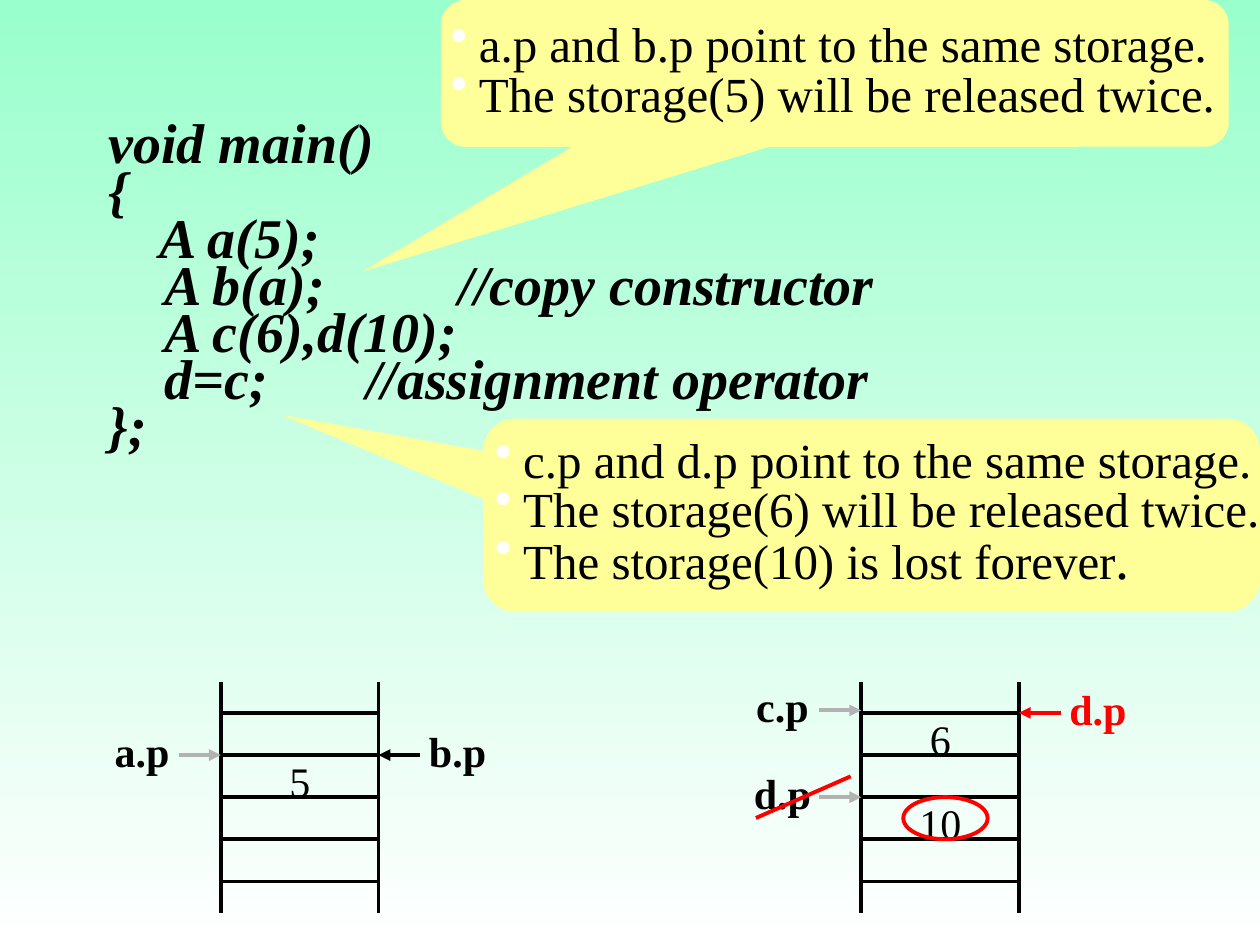
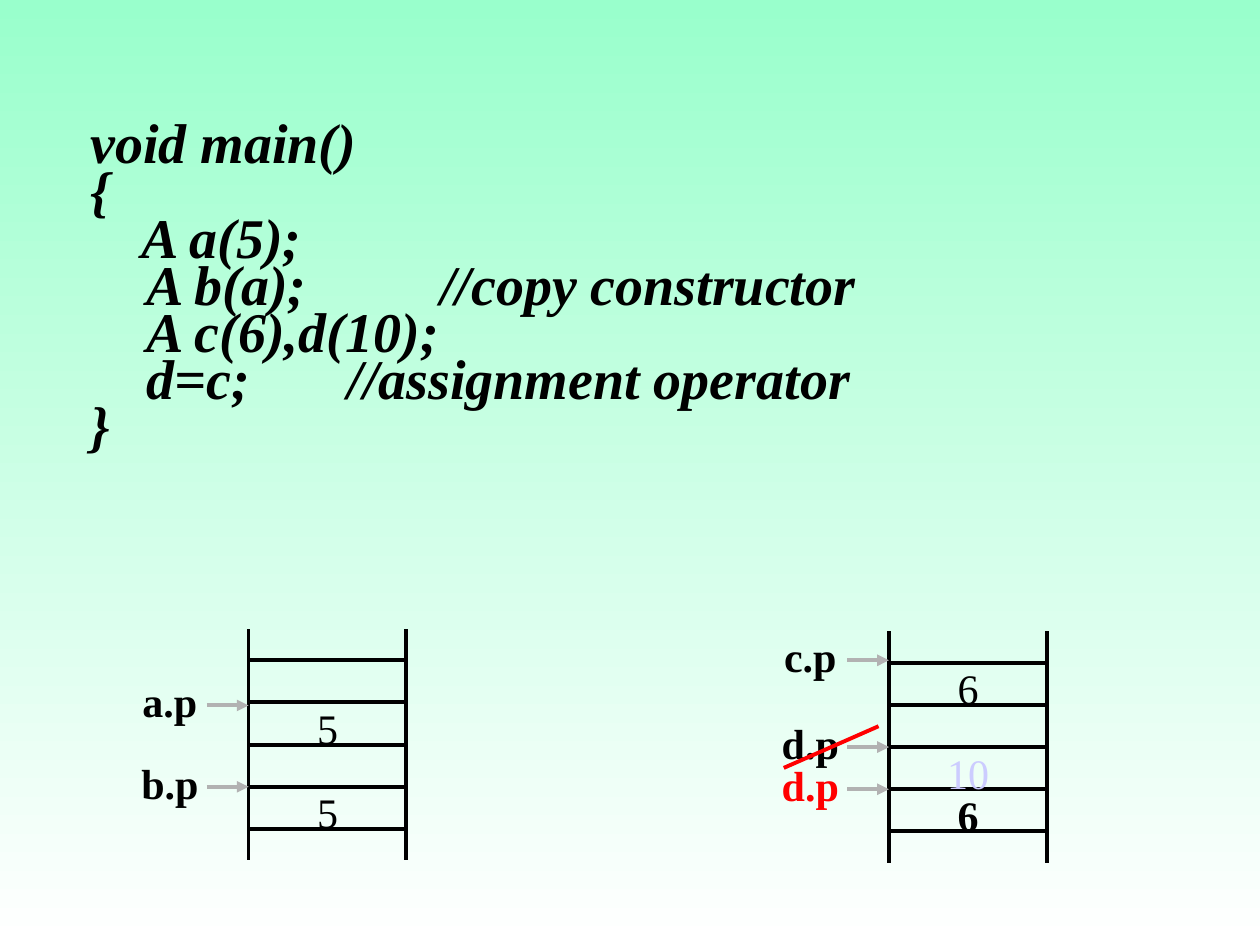
from dataclasses import dataclass

from lxml.etree import SubElement
from pptx import Presentation
from pptx.dml.color import RGBColor
from pptx.enum.shapes import MSO_CONNECTOR, MSO_SHAPE
from pptx.enum.text import MSO_ANCHOR, PP_ALIGN
from pptx.oxml.ns import qn
from pptx.util import Cm, Pt


@dataclass(frozen=True)
class Theme:
    font: str = "Times New Roman"
    top: str = "99FFCC"
    white: str = "FFFFFF"
    black: str = "000000"
    gray: str = "B2B2B2"
    red: str = "FF0000"
    pale: str = "CCCCFF"
    note: str = "FFFF99"
    code_size: int = 32
    note_size: int = 28
    label_size: int = 24
    stroke: float = 2.25


@dataclass(frozen=True)
class Stack:
    """Memory drawn as a ladder; x and y are its top left corner in cm."""
    x: float
    y: float
    width: float = 3.18
    height: float = 4.66
    step: float = 0.85
    rungs: int = 5

    @property
    def right(self):
        return self.x + self.width

    def rung(self, i):
        return self.y + 0.63 + self.step * i


def color(code):
    return RGBColor.from_string(code)


def add_bullet(para, code, indent):
    props = para._p.get_or_add_pPr()
    props.set("marL", str(Cm(indent)))
    props.set("indent", str(-Cm(indent)))
    tint = SubElement(props, qn("a:buClr"))
    SubElement(tint, qn("a:srgbClr"), val=code)
    SubElement(props, qn("a:buChar"), char="•")


def add_tab(para, pos):
    tabs = SubElement(para._p.get_or_add_pPr(), qn("a:tabLst"))
    SubElement(tabs, qn("a:tab"), pos=str(Cm(pos)), algn="l")


def write(shape, lines, *, font, size, ink, bold=False, italic=False,
          align=PP_ALIGN.LEFT, first=1.0, rest=1.0, before=0,
          inset=(0, 0), wrap=True, bullet=None, tab=None):
    """Fill a shape with lines; a line is a string or a list of (text, size)."""
    frame = shape.text_frame
    frame.word_wrap = wrap
    frame.vertical_anchor = MSO_ANCHOR.MIDDLE
    frame.margin_left = frame.margin_right = Cm(inset[0])
    frame.margin_top = frame.margin_bottom = Cm(inset[1])
    for i, line in enumerate(lines):
        para = frame.add_paragraph() if i else frame.paragraphs[0]
        if bullet:
            add_bullet(para, bullet, 0.57)
        if tab:
            add_tab(para, tab)
        para.alignment = align
        para.line_spacing = rest if i else first
        if i and before:
            para.space_before = Pt(before)
        for text, points in [(line, size)] if isinstance(line, str) else line:
            run = para.add_run()
            run.text = text
            run.font.name = font
            run.font.size = Pt(points)
            run.font.bold = bold
            run.font.italic = italic
            run.font.color.rgb = color(ink)


class Deck:
    def __init__(self, theme):
        self.theme = theme
        self.show = Presentation()
        self.show.slide_width, self.show.slide_height = Cm(25.4), Cm(19.05)
        self.slide = None
        fill = self.show.slide_master.background.fill
        fill.gradient()
        fill.gradient_angle = 270
        for stop, code in zip(fill.gradient_stops, (theme.top, theme.white)):
            stop.color.rgb = color(code)

    def new(self):
        self.slide = self.show.slides.add_slide(self.show.slide_layouts[6])

    def line(self, x1, y1, x2, y2, ink=None, arrow=False):
        link = self.slide.shapes.add_connector(
            MSO_CONNECTOR.STRAIGHT, Cm(x1), Cm(y1), Cm(x2), Cm(y2))
        link.line.color.rgb = color(ink or self.theme.black)
        link.line.width = Pt(self.theme.stroke)
        if arrow:
            SubElement(link.line._get_or_add_ln(), qn("a:tailEnd"), type="triangle")
        SubElement(link._element.spPr, qn("a:effectLst"))

    def shape(self, kind, x, y, width, height):
        shape = self.slide.shapes.add_shape(
            kind, Cm(x), Cm(y), Cm(width), Cm(height))
        shape.shadow.inherit = False
        return shape

    def box(self, x, y, width, height, lines, **style):
        box = self.slide.shapes.add_textbox(Cm(x), Cm(y), Cm(width), Cm(height))
        write(box, lines, font=self.theme.font, **style)

    def label(self, x, y, text, ink=None, bold=False):
        self.box(x, y, 2.33, 1.22, [text], size=self.theme.label_size,
                 ink=ink or self.theme.black, bold=bold,
                 align=PP_ALIGN.CENTER, first=1.2)

    def code(self, x, lines):
        self.box(x, 0.91, 24.33, 9.8, lines, size=self.theme.code_size,
                 ink=self.theme.black, bold=True, italic=True,
                 first=0.8, rest=0.7, tab=7.62)

    def callout(self, x, y, width, height, tip, lines):
        """Place a bulleted note; tip is its pointer, relative to its centre."""
        note = self.shape(MSO_SHAPE.ROUNDED_RECTANGULAR_CALLOUT, x, y, width, height)
        note.adjustments[0], note.adjustments[1] = tip
        note.fill.solid()
        note.fill.fore_color.rgb = color(self.theme.note)
        note.line.fill.background()
        write(note, lines, font=self.theme.font, size=self.theme.note_size,
              ink=self.theme.black, first=0.75, rest=0.6, before=7,
              inset=(0.05, 0.13), wrap=False, bullet=self.theme.white)

    def stack(self, x, y):
        stack = Stack(x, y)
        for post in (stack.x, stack.right):
            self.line(post, y, post, y + stack.height)
        for i in range(stack.rungs):
            self.line(x, stack.rung(i), stack.right, stack.rung(i))
        return stack

    def value(self, stack, row, text, **style):
        self.label(stack.x + 0.43, stack.y + 0.43 + stack.step * row, text, **style)

    def pointer(self, stack, rung, name, ink=None, arrow=None, right=False, shift=0):
        """Point at a rung from the left, or from the right."""
        y = stack.rung(rung) + shift
        edge, start, left = ((stack.right, 0.84, 0.43) if right
                             else (stack.x, -0.84, -2.75))
        self.line(edge + start, y, edge, y, arrow or self.theme.gray, arrow=True)
        self.label(edge + left, y - 0.8, name, ink=ink, bold=True)

    def strike(self, stack, rung):
        y = stack.rung(rung)
        self.line(stack.x - 0.21, y - 0.42, stack.x - 2.12, y + 0.42, self.theme.red)

    def ring(self, stack, row):
        ring = self.shape(MSO_SHAPE.OVAL, stack.x + 0.85, stack.rung(row), 1.7, stack.step)
        ring.fill.background()
        ring.line.color.rgb = color(self.theme.red)
        ring.line.width = Pt(self.theme.stroke)


MAIN = [
    "　void main()",
    "　{",
    "　    A a(5);",
    "　　A b(a);\t  //copy constructor",
    "　　A c(6),d(10);",
    "　　d=c;       //assignment operator",
]


def shallow(deck):
    """Slide where copies share their storage."""
    theme = deck.theme
    deck.new()
    deck.code(1.06, MAIN + ["　};"])

    ab = deck.stack(4.45, 13.74)
    deck.value(ab, 1, "5")
    deck.pointer(ab, 1, "a.p")
    deck.pointer(ab, 1, "b.p", arrow=theme.black, right=True)

    cd = deck.stack(17.36, 13.74)
    deck.value(cd, 0, "6")
    deck.value(cd, 2, "10")
    deck.pointer(cd, 0, "c.p", shift=-0.05)
    deck.pointer(cd, 2, "d.p")
    deck.pointer(cd, 0, "d.p", ink=theme.red, arrow=theme.red, right=True)
    deck.strike(cd, 2)
    deck.ring(cd, 2)

    deck.callout(8.89, 0, 15.88, 2.96, (-0.6, 1.35), [
        "a.p and b.p point to the same storage.",
        "The storage(5) will be released twice."])
    deck.callout(9.74, 8.44, 15.66, 3.89, (-0.76, -0.52), [
        "c.p and d.p point to the same storage.",
        "The storage(6) will be released twice.",
        [("The storage(10) is lost forever", theme.note_size),
         (".", theme.code_size)]])


def deep(deck):
    """Slide where each copy has its own storage."""
    theme = deck.theme
    deck.new()
    ab = deck.stack(5.01, 12.68)
    for row in (1, 3):
        deck.value(ab, row, "5")
    deck.pointer(ab, 1, "a.p", shift=0.06)
    deck.pointer(ab, 3, "b.p")

    cd = deck.stack(17.92, 12.73)
    deck.value(cd, 0, "6")
    deck.value(cd, 2, "10", ink=theme.pale)
    deck.value(cd, 3, "6", bold=True)
    deck.pointer(cd, 0, "c.p", shift=-0.05)
    deck.pointer(cd, 2, "d.p")
    deck.pointer(cd, 3, "d.p", ink=theme.red)
    deck.strike(cd, 2)
    deck.code(0.69, MAIN + ["　}"])


def main():
    deck = Deck(Theme())
    shallow(deck)
    deep(deck)
    deck.show.save("out.pptx")


if __name__ == "__main__":
    main()
